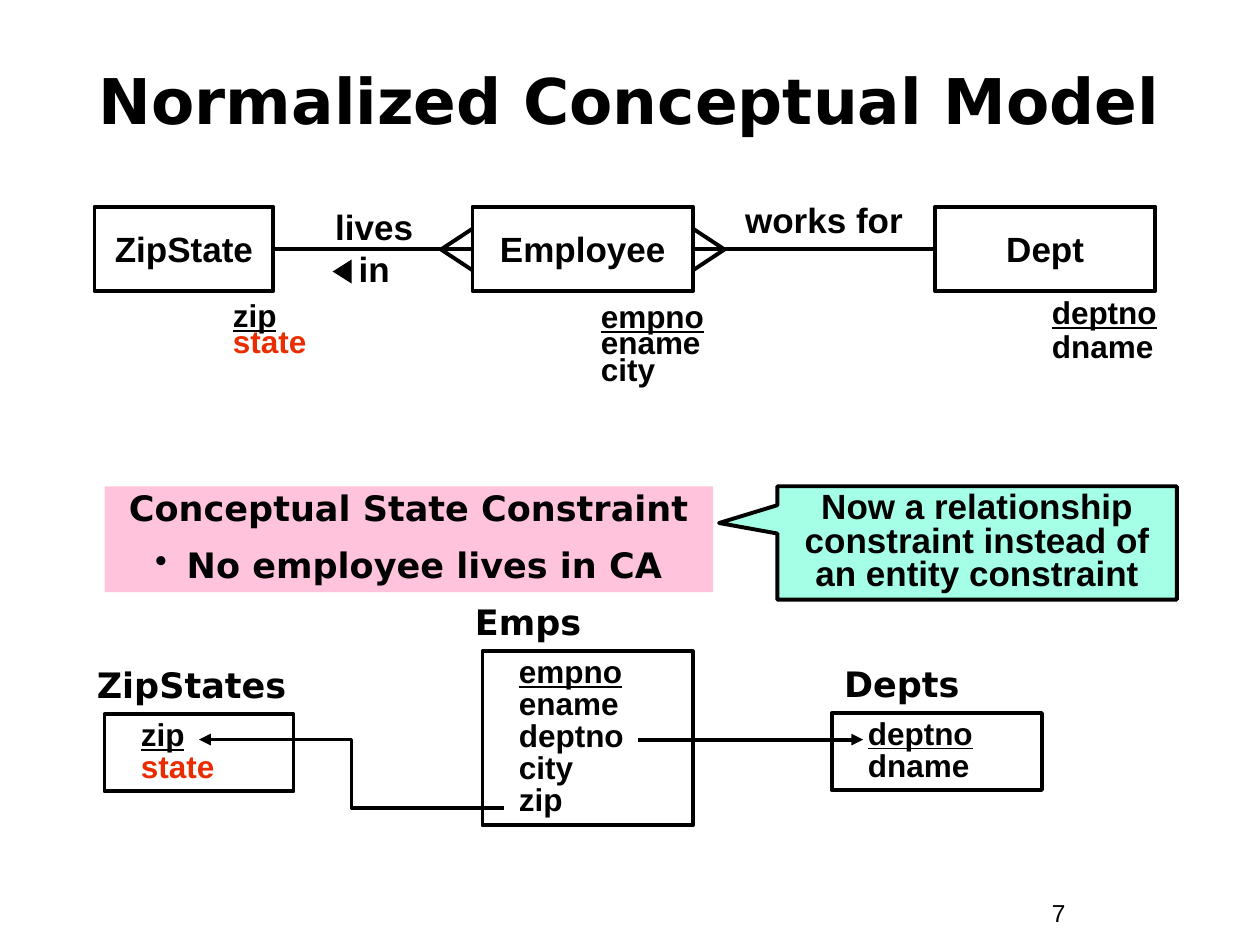
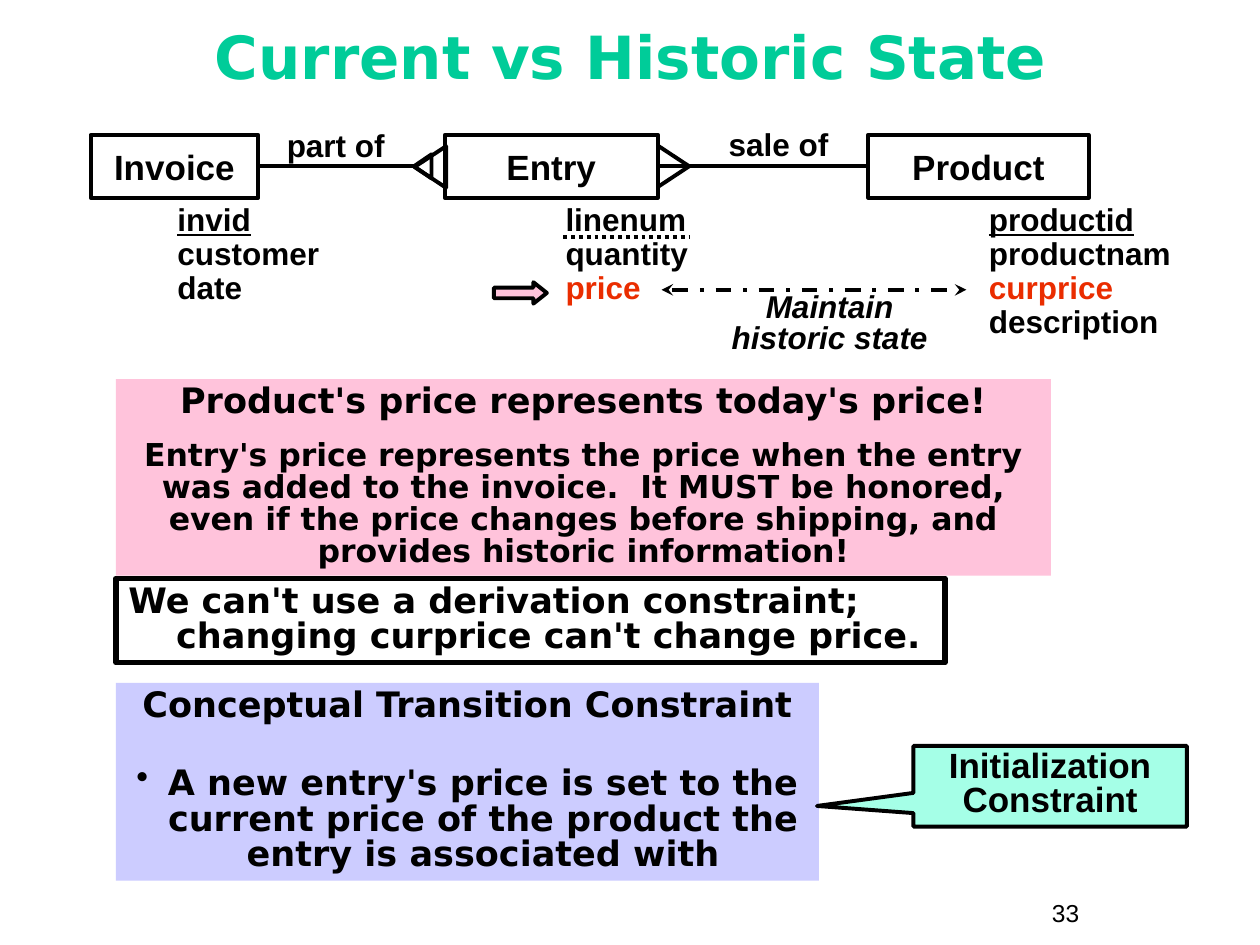
from dataclasses import dataclass

from lxml import etree
from pptx import Presentation
from pptx.dml.color import RGBColor as RGB
from pptx.enum.dml import MSO_LINE as DASH
from pptx.enum.shapes import MSO_CONNECTOR as CONN, MSO_SHAPE as SHAPE
from pptx.enum.text import MSO_ANCHOR as ANCHOR, MSO_AUTO_SIZE as AUTO, PP_ALIGN as ALIGN
from pptx.oxml.ns import qn
from pptx.util import Inches, Pt


@dataclass(frozen=True)
class Theme:
    """Colours, fonts, type sizes and line widths of the deck."""
    ink: str = "000000"
    accent: str = "EA2D00"
    green: str = "00CC99"
    pink: str = "FFC3DB"
    mint: str = "A5FFE7"
    lilac: str = "CCCCFF"
    body: str = "Arial"
    display: str = "DejaVu Sans"
    label: int = 20
    field: int = 18
    number: int = 14
    stroke: float = 2.25
    frame: float = 3


T = Theme()
BASE = {"name": T.body, "size": T.label, "bold": True, "color": T.ink}
FONT_KEYS = ("name", "size", "bold", "italic", "underline")
PARA_KEYS = ("alignment", "line_spacing", "space_before")
CENTER = {"alignment": ALIGN.CENTER}
PANEL = {"name": T.display, "line_spacing": 0.85}
BULLET = {"margin": 0.25, "hang": -0.25, "bullet": "•"}
KEY = {"underline": True}
RED = {"color": T.accent}


def style_paragraph(p, fmt):
    """Apply spacing, indents and bullet to a paragraph."""
    pPr = p._p.get_or_add_pPr()
    for key, attr in (("margin", "marL"), ("hang", "indent")):
        if key in fmt:
            pPr.set(attr, str(Inches(fmt[key])))
    if "bullet" in fmt:
        etree.SubElement(pPr, qn("a:buChar")).set("char", fmt["bullet"])
    for key in PARA_KEYS:
        if key in fmt:
            setattr(p, key, fmt[key])


def write(tf, paras, anchor=ANCHOR.TOP, wrap=True, **shared):
    """Fill a text frame with strings or (string, format) pairs."""
    for key, value in {"auto_size": AUTO.NONE, "word_wrap": wrap,
                       "vertical_anchor": anchor}.items():
        setattr(tf, key, value)
    for i, para in enumerate(paras):
        text, own = para if isinstance(para, tuple) else (para, {})
        fmt = {**BASE, **shared, **own}
        p = tf.add_paragraph() if i else tf.paragraphs[0]
        style_paragraph(p, fmt)
        p.text = text
        for r in p.runs:
            for key in FONT_KEYS:
                if key in fmt:
                    setattr(r.font, key, Pt(fmt[key]) if key == "size" else fmt[key])
            r.font.color.rgb = RGB.from_string(fmt["color"])


def shape(s, kind, at, fill=None, line=T.stroke):
    """Add a preset shape with an optional fill and black outline."""
    sp = s.shapes.add_shape(kind, *map(Inches, at))
    sp.shadow.inherit = False
    if fill:
        sp.fill.solid()
        sp.fill.fore_color.rgb = RGB.from_string(fill)
    else:
        sp.fill.background()
    if line:
        sp.line.width = Pt(line)
        sp.line.color.rgb = RGB.from_string(T.ink)
    else:
        sp.line.fill.background()
    return sp


def text_box(s, at, paras, **fmt):
    """Add a plain text box."""
    write(s.shapes.add_textbox(*map(Inches, at)).text_frame, paras, **fmt)


def panel(s, at, paras, fill=None, line=None, **fmt):
    """Add a rectangle of display text."""
    sp = shape(s, SHAPE.RECTANGLE, at, fill, line)
    write(sp.text_frame, paras, **{**PANEL, **fmt})


def entity(s, name, at):
    """Add an entity box with its name centred."""
    sp = shape(s, SHAPE.RECTANGLE, at)
    write(sp.text_frame, [name], ANCHOR.MIDDLE, wrap=False, **CENTER)
    return sp


def fields(s, at, names, spacing):
    """Add the attribute list of an entity."""
    text_box(s, at, names, size=T.field, line_spacing=spacing)


def relation(s, name, at, names, shift=0.0):
    """Add a relational table box with its name above."""
    left, top, _, _ = at
    text_box(s, (left - shift, top - 0.45, 2.15, 0.44), [name], name=T.display)
    sp = shape(s, SHAPE.RECTANGLE, at)
    write(sp.text_frame, names, size=T.field, line_spacing=0.85, margin=0.19,
          hang=0, alignment=ALIGN.LEFT)


def callout(s, at, tip, text):
    """Add a mint callout whose tip is given as shape fractions."""
    sp = shape(s, SHAPE.RECTANGULAR_CALLOUT, at, T.mint)
    sp.adjustments[0], sp.adjustments[1] = tip
    write(sp.text_frame, [text], line_spacing=0.8, **CENTER)


def connect(s, start, end, kind=CONN.STRAIGHT, dash=None, head=None, tail=None):
    """Add a black connector between two points."""
    c = s.shapes.add_connector(kind, *map(Inches, (*start, *end)))
    c.line.width = Pt(T.stroke)
    c.line.color.rgb = RGB.from_string(T.ink)
    if dash:
        c.line.dash_style = dash
    ln = c.line._get_or_add_ln()
    for tag, arrow in (("a:headEnd", head), ("a:tailEnd", tail)):
        if arrow:
            etree.SubElement(ln, qn(tag)).set("type", arrow)
    etree.SubElement(c._element.spPr, qn("a:effectLst"))
    return c


def join(s, left_sp, right_sp):
    """Join the facing sides of two entity boxes."""
    c = connect(s, (0, 0), (1, 0))
    c.begin_connect(left_sp, 3)
    c.end_connect(right_sp, 1)


def crow_foot(s, tip, side, y):
    """Draw the two outer toes of a many end."""
    for dy in (-0.165, 0.165):
        connect(s, (tip, y), (side, y + dy))


def left_triangle(s, at, **look):
    """Add a triangle turned to point left."""
    shape(s, SHAPE.ISOSCELES_TRIANGLE, at, **look).rotation = 270


def new_slide(prs, title, at, number, **fmt):
    """Add a titled slide with its number."""
    s = prs.slides.add_slide(prs.slide_layouts[5])
    sp = s.shapes.title
    for key, value in zip(("left", "top", "width", "height"), at):
        setattr(sp, key, Inches(value))
    write(sp.text_frame, [title], ANCHOR.MIDDLE, name=T.display, **CENTER, **fmt)
    text_box(s, (8.25, 7.08, 0.92, 0.34), [number], size=T.number, bold=False)
    return s


def normalized_model(prs):
    """Build the normalized conceptual model slide."""
    s = new_slide(prs, "Normalized Conceptual Model", (0.33, 0.33, 9.33, 0.92), "7", size=36)
    zip_state, employee, dept = [
        entity(s, name, (left, 1.64, width, 0.67))
        for name, left, width in (("ZipState", 0.75, 1.42), ("Employee", 3.75, 1.75),
                                  ("Dept", 7.42, 1.75))]
    join(s, zip_state, employee)
    join(s, employee, dept)
    crow_foot(s, 3.5, 3.75, 1.98)
    crow_foot(s, 5.75, 5.5, 1.98)
    text_box(s, (2.18, 1.58, 1.58, 0.77), ["lives\nin"], **CENTER)
    left_triangle(s, (2.62, 2.08, 0.19, 0.15), fill=T.ink, line=None)
    text_box(s, (5.75, 1.53, 1.58, 0.44), ["works for"], **CENTER)
    fields(s, (1.75, 2.38, 1.17, 0.52), [("zip", KEY), ("state", RED)], 0.7)
    fields(s, (4.67, 2.39, 1.17, 0.73), [("empno", KEY), "ename", "city"], 0.7)
    fields(s, (8.25, 2.31, 1.17, 0.64), [("deptno", KEY), "dname"], 0.9)

    panel(s, (0.83, 3.86, 4.83, 0.84),
          ["Conceptual State Constraint",
           ("No employee lives in CA", {**BULLET, "space_before": Pt(12.5)})],
          fill=T.pink, **CENTER)
    callout(s, (6.17, 3.86, 3.17, 0.9), (-0.646, -0.176),
            "Now a relationship constraint instead of an entity constraint")

    relation(s, "Emps", (3.83, 5.17, 1.67, 1.38),
             [("empno", KEY), "ename", "deptno", "city", "zip"], shift=0.16)
    relation(s, "Depts", (6.6, 5.66, 1.67, 0.61), [("deptno", KEY), "dname"])
    relation(s, "ZipStates", (0.83, 5.67, 1.5, 0.61), [("zip", KEY), ("state", RED)], shift=0.16)
    connect(s, (5.06, 5.87), (6.85, 5.87), tail="triangle")
    connect(s, (4, 6.41), (1.58, 5.87), CONN.ELBOW, tail="triangle")


def historic_state(prs):
    """Build the current versus historic state slide."""
    s = new_slide(prs, "Current vs Historic State", (0.17, 0.12, 9.67, 0.75), "33",
                  size=34, color=T.green, line_spacing=0.8)
    invoice, entry, product = [
        entity(s, name, (left, 1.07, width, 0.5))
        for name, left, width in (("Invoice", 0.72, 1.33), ("Entry", 3.53, 1.69),
                                  ("Product", 6.89, 1.75))]
    connect(s, (2.05, 1.32), (3.29, 1.32)).begin_connect(invoice, 3)
    join(s, entry, product)
    crow_foot(s, 5.47, 5.22, 1.32)
    left_triangle(s, (3.25, 1.2, 0.33, 0.25))
    left_triangle(s, (3.26, 1.25, 0.19, 0.14))
    text_box(s, (2.08, 0.95, 1.17, 0.4), ["part of"], size=T.field, **CENTER)
    text_box(s, (5.43, 0.94, 1.5, 0.4), ["sale of"], size=T.field, **CENTER)
    for left, width, height, names in (
            (1.31, 1.5, 0.91, [("invid", KEY), "customer", "date"]),
            (4.39, 1.67, 0.91, ["linenum", "quantity", ("price", RED)]),
            (7.75, 1.67, 1.18, [("productid", KEY), "productnam", ("curprice", RED),
                                "description"])):
        fields(s, (left, 1.57, width, height), names, 0.9)
    connect(s, (4.47, 1.88), (5.47, 1.88), dash=DASH.ROUND_DOT)
    arrow = shape(s, SHAPE.RIGHT_ARROW, (3.92, 2.24, 0.42, 0.17), T.pink)
    arrow.adjustments[1] = 0.626
    connect(s, (5.25, 2.3), (7.67, 2.3), dash=DASH.DASH_DOT, head="stealth", tail="stealth")
    text_box(s, (5.67, 2.29, 1.83, 0.58), ["Maintain historic state"], size=T.field,
             italic=True, line_spacing=0.8, **CENTER)

    panel(s, (0.92, 3.01, 7.42, 1.56),
          ["Product's price represents today's price!",
           ("Entry's price represents the price when the entry was added to the invoice.  "
            "It MUST be honored, even if the price changes before shipping, and provides "
            "historic information!", {"size": T.field, "space_before": Pt(11.2)})],
          fill=T.pink, **CENTER)
    panel(s, (0.92, 4.59, 6.58, 0.67),
          ["We can't use a derivation constraint;\nchanging curprice can't change price."],
          line=T.frame, margin=0.38, hang=-0.38, alignment=ALIGN.LEFT)
    panel(s, (0.92, 5.42, 5.58, 1.57),
          ["Conceptual Transition Constraint",
           ("A new entry's price is set to the current price of the product the entry is "
            "associated with", {**BULLET, "space_before": Pt(24)})],
          fill=T.lilac, **CENTER)
    callout(s, (7.25, 5.92, 2.17, 0.64), (-0.853, 0.245), "Initialization\nConstraint")


def main():
    """Build and save the deck."""
    prs = Presentation()
    prs.slide_width, prs.slide_height = Inches(10), Inches(7.5)
    normalized_model(prs)
    historic_state(prs)
    prs.save("out.pptx")


if __name__ == "__main__":
    main()
